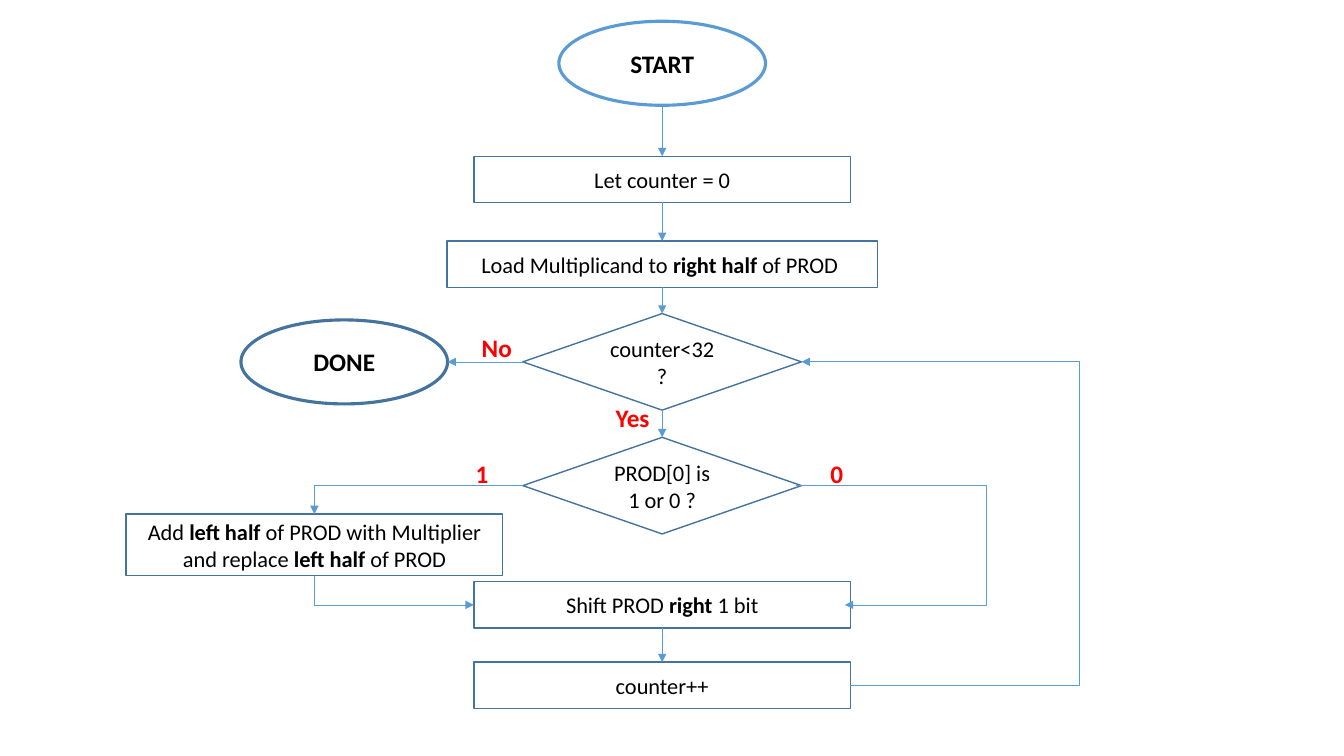
from lxml import etree
from pptx import Presentation
from pptx.dml.color import RGBColor
from pptx.enum.shapes import MSO_CONNECTOR as LINE, MSO_SHAPE as SHAPE
from pptx.enum.text import MSO_ANCHOR as ANCHOR, PP_ALIGN as ALIGN
from pptx.oxml.ns import qn
from pptx.util import Pt

FONT = "Calibri"
BLACK, WHITE, RED = "000000", "FFFFFF", "FF0000"
BLUE, DARK_BLUE = "5B9BD5", "43739E"
TOP, LEFT, BOTTOM, RIGHT = range(4)  # connection sites

# Content: paragraphs of runs, bold where a run starts with "*"
MID = 473
BOX, WIDE_BOX, TALL_BOX = (269, 33), (307.5, 33), (269, 44)
OVAL, DIAMOND = (147.6, 60), (199, 69)
STEPS = {  # name: (preset, size, centre x, top, line colour, paragraphs)
    "start": (SHAPE.OVAL, OVAL, MID, 15.2, BLUE, [["*START"]]),
    "init": (SHAPE.RECTANGLE, BOX, MID, 111.6, DARK_BLUE, [["Let counter = 0"]]),
    "load": (SHAPE.RECTANGLE, WIDE_BOX, MID, 172.2, DARK_BLUE,
             [["Load Multiplicand to ", "*right half ", "of PROD "]]),
    "more": (SHAPE.FLOWCHART_DECISION, DIAMOND, MID, 224, DARK_BLUE, [["counter<32 ?"]]),
    "bit": (SHAPE.FLOWCHART_DECISION, DIAMOND, MID, 312.4, DARK_BLUE,
            [["PROD[0] is"], ["1 or 0 ?"]]),
    "add": (SHAPE.RECTANGLE, TALL_BOX, 224.6, 367.2, DARK_BLUE,
            [["Add ", "*left half ", "of PROD with Multiplier and replace ",
              "*left half ", "of PROD"]]),
    "shift": (SHAPE.RECTANGLE, BOX, MID, 415.6, DARK_BLUE,
              [["Shift PROD", "* right ", "1 bit"]]),
    "count": (SHAPE.RECTANGLE, BOX, MID, 473, DARK_BLUE, [["counter++"]]),
    "done": (SHAPE.OVAL, OVAL, 245.9, 228.5, DARK_BLUE, [["*DONE"]]),
}
MAIN_FLOW = [("start", "init"), ("init", "load"), ("load", "more"),
             ("more", "bit"), ("shift", "count")]
# from, to, x of the vertical part, inset of both ends
LOOPS = [("bit", "shift", 704.2, 4), ("count", "more", 771.1, 0)]
LABELS = [("Yes", 432.7, 283.7), ("No", 337, 234), ("1", 332.6, 324), ("0", 586.1, 324)]


def rgb(value):
    return RGBColor.from_string(value)


def set_font(font, size, color):
    font.name, font.size = FONT, Pt(size)
    font.color.rgb = rgb(color)


def add_step(preset, size, center, top, color, paragraphs):
    w, h = size
    sp = shapes.add_shape(preset, Pt(center - w / 2), Pt(top), Pt(w), Pt(h))
    sp.shadow.inherit = False
    oval = preset == SHAPE.OVAL
    if preset == SHAPE.FLOWCHART_DECISION:
        sp.fill.background()
    else:
        sp.fill.solid()
        sp.fill.fore_color.rgb = rgb(WHITE)
    sp.line.color.rgb = rgb(color)
    sp.line.width = Pt(2.25 if oval else 1)
    tf = sp.text_frame
    tf.word_wrap, tf.vertical_anchor = True, ANCHOR.MIDDLE
    for i, runs in enumerate(paragraphs):
        p = tf.add_paragraph() if i else tf.paragraphs[0]
        p.alignment = ALIGN.CENTER
        set_font(p.font, 18 if oval else 16, BLACK)
        for text in runs:
            r = p.add_run()
            r.text = text.lstrip("*")
            r.font.bold = text.startswith("*")
    return sp


def site(sp, side):
    x = {LEFT: sp.left, RIGHT: sp.left + sp.width}.get(side, sp.left + sp.width // 2)
    y = {TOP: sp.top, BOTTOM: sp.top + sp.height}.get(side, sp.top + sp.height // 2)
    return x, y


def add_arrow(begin, begin_side, end, end_side, kind=LINE.STRAIGHT, inset=0, arrow="tailEnd"):
    (x1, y1), (x2, y2) = site(begin, begin_side), site(end, end_side)
    cx = shapes.add_connector(kind, x1 - Pt(inset), y1, x2 - Pt(inset), y2)
    if not inset:
        cx.begin_connect(begin, begin_side)
        cx.end_connect(end, end_side)
    cx.line.color.rgb = rgb(BLUE)
    cx.line.width = Pt(0.5)
    pr = cx._element.spPr
    etree.SubElement(pr.find(qn("a:ln")), qn("a:" + arrow), type="triangle")
    etree.SubElement(pr, qn("a:effectLst"))
    return cx


def add_corner(begin, begin_side, end, end_side, arrow):
    """Horizontal from begin, then vertical to end."""
    cx = add_arrow(begin, begin_side, end, end_side, LINE.ELBOW, arrow=arrow)
    cx._element.spPr.find(qn("a:prstGeom")).set("prst", "bentConnector2")


def add_loop(begin, end, bend_x, inset):
    cx = add_arrow(begin, RIGHT, end, RIGHT, LINE.ELBOW, inset)
    ratio = (Pt(bend_x) - cx.begin_x) / (cx.end_x - cx.begin_x)
    geom = cx._element.spPr.find(qn("a:prstGeom"))
    guides = geom.find(qn("a:avLst"))
    if guides is None:
        guides = etree.SubElement(geom, qn("a:avLst"))
    etree.SubElement(guides, qn("a:gd"), name="adj1", fmla=f"val {round(ratio * 100000)}")


prs = Presentation()
prs.slide_width, prs.slide_height = Pt(960), Pt(540)
shapes = prs.slides.add_slide(prs.slide_layouts[6]).shapes

# Steps and decisions
steps = {name: add_step(*step) for name, step in STEPS.items()}

# Arrows
for above, below in MAIN_FLOW:
    add_arrow(steps[above], BOTTOM, steps[below], TOP)
add_arrow(steps["more"], LEFT, steps["done"], RIGHT)
add_corner(steps["bit"], LEFT, steps["add"], TOP, "tailEnd")
add_corner(steps["shift"], LEFT, steps["add"], BOTTOM, "headEnd")
for begin, end, bend_x, inset in LOOPS:
    add_loop(steps[begin], steps[end], bend_x, inset)

# Branch labels
for text, x, y in LABELS:
    tf = shapes.add_textbox(Pt(x), Pt(y), Pt(44.6), Pt(29)).text_frame
    tf.word_wrap = True
    p = tf.paragraphs[0]
    p.text = text
    set_font(p.font, 18, RED)
    p.font.bold = True

prs.save("out.pptx")
